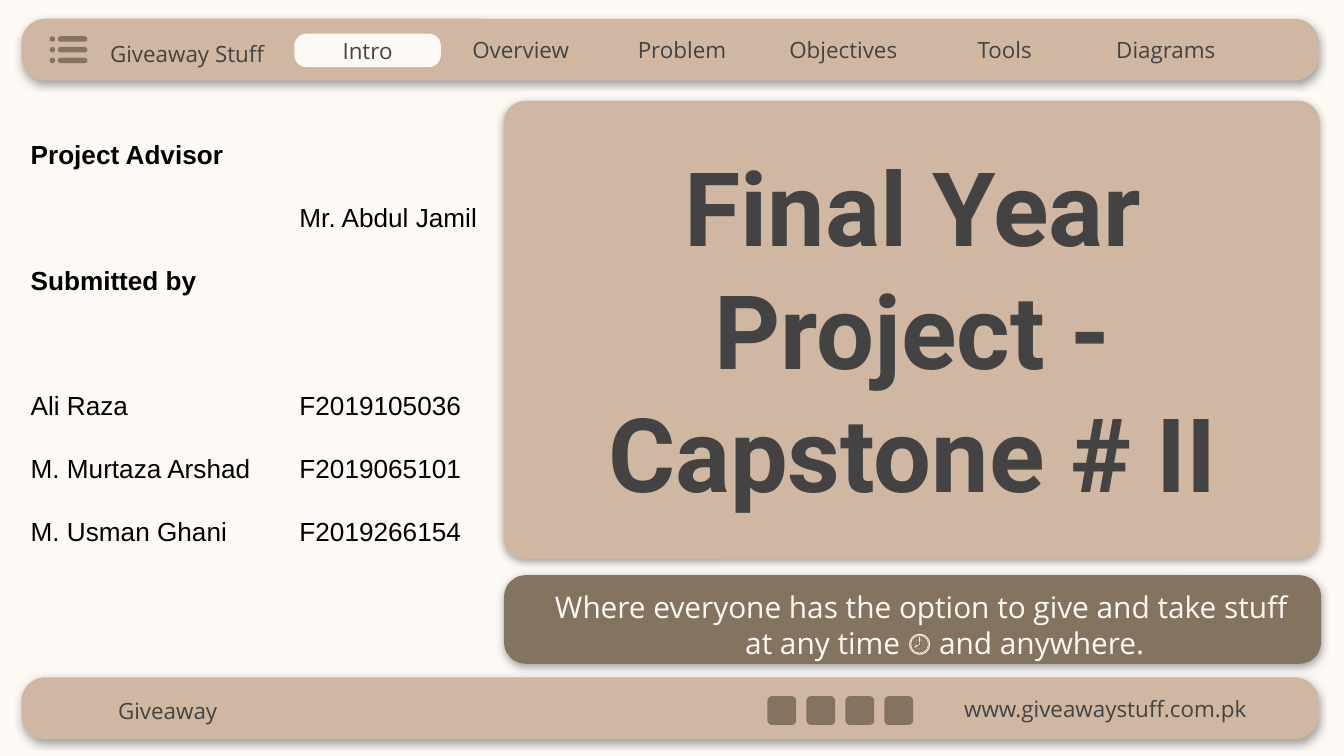
from typing import NamedTuple

from lxml.etree import SubElement
from pptx import Presentation
from pptx.dml.color import RGBColor
from pptx.enum.shapes import MSO_SHAPE as Shape
from pptx.enum.text import MSO_ANCHOR as Anchor, PP_ALIGN as Align
from pptx.oxml.ns import qn
from pptx.util import Inches, Pt

CREAM = RGBColor(0xFD, 0xFA, 0xF5)
SAND = RGBColor(0xCF, 0xB7, 0xA1)
BROWN = RGBColor(0x84, 0x73, 0x5E)
CHARCOAL = RGBColor(0x43, 0x43, 0x43)
BLACK = RGBColor(0, 0, 0)

COLUMNS, ROWS = 100, 56.25
CELL = Inches(0.1)


class Box(NamedTuple):
    x: float
    y: float
    w: float
    h: float

    def within(self, x, y, w, h):
        return Box(self.x + x, self.y + y, w, h)

    def emu(self):
        return [round(length * CELL) for length in self]


def cast_shadow(shape):
    effects = shape._element.spPr.find(qn("a:effectLst"))
    shadow = SubElement(effects, qn("a:outerShdw"), blurRad=str(Pt(4.5)),
                        dist=str(Pt(1.5)), dir="5400000", algn="bl",
                        rotWithShape="0")
    color = SubElement(shadow, qn("a:srgbClr"), val=str(CHARCOAL))
    SubElement(color, qn("a:alpha"), val="50000")


def draw(slide, box, fill=None, kind=Shape.ROUNDED_RECTANGLE, corner=None,
         raised=False):
    shape = slide.shapes.add_shape(kind, *box.emu())
    shape.shadow.inherit = False
    shape.line.fill.background()
    if fill is None:
        shape.fill.background()
    else:
        shape.fill.solid()
        shape.fill.fore_color.rgb = fill
    if corner is not None:
        shape.adjustments[0] = corner
    if raised:
        cast_shadow(shape)
    return shape


def prepare(shape, anchor=Anchor.MIDDLE, inset=1):
    frame = shape.text_frame
    frame.word_wrap = True
    frame.vertical_anchor = anchor
    frame.margin_top = frame.margin_bottom = round(inset * CELL)
    frame.margin_left = frame.margin_right = CELL
    return frame


def text_area(slide, box, **layout):
    return prepare(slide.shapes.add_textbox(*box.emu()), **layout)


def write(paragraph, text, size=12, font="Open Sans", color=CHARCOAL,
          bold=False, align=Align.LEFT):
    paragraph.alignment = align
    run = paragraph.add_run()
    run.text = text
    run.font.size = Pt(size)
    run.font.name = font
    run.font.color.rgb = color
    run.font.bold = bold


def menu_icon(slide, box):
    for row in range(3):
        y = 0.8 * row
        draw(slide, box.within(0.6, y, 2.2, 0.4), BROWN, corner=0.5)
        draw(slide, box.within(0, y, 0.4, 0.4), BROWN, Shape.OVAL)


def navigation(slide, box):
    draw(slide, box, SAND, corner=0.385, raised=True)
    menu_icon(slide, box.within(2.1, 1.3, 2.8, 2))
    brand = text_area(slide, box.within(5.6, 1, 14.1, 3.1))
    write(brand.paragraphs[0], "Giveaway Stuff")
    current = draw(slide, box.within(20.3, 1.1, 10.9, 2.5), CREAM,
                   corner=0.363)
    write(prepare(current).paragraphs[0], "Intro", align=Align.CENTER)
    sections = ["Overview", "Problem", "Objectives", "Tools", "Diagrams"]
    for index, section in enumerate(sections):
        tab = draw(slide, box.within(31.7 + 12 * index, 1, 10.9, 2.5),
                   corner=0.363)
        write(prepare(tab).paragraphs[0], section, align=Align.CENTER)


def title_panel(slide, box):
    draw(slide, box, SAND, corner=0.047, raised=True)
    title = text_area(slide, box.within(0.8, 1.1, 59.2, 30.6),
                      anchor=Anchor.BOTTOM)
    write(title.paragraphs[0], "Final Year Project - Capstone # II", size=55,
          font="Roboto", bold=True, align=Align.CENTER)


def tagline_panel(slide, box):
    draw(slide, box, BROWN, corner=0.245, raised=True)
    tagline = text_area(slide, box.within(0.7, 0, 59.2, box.h),
                        anchor=Anchor.TOP).paragraphs[0]
    indents = tagline._p.get_or_add_pPr()
    indents.set("marL", str(5 * CELL))
    indents.set("indent", str(round(-3.5 * CELL)))
    write(tagline, "Where everyone has the option to give and take stuff "
          "at any time ⌚ and anywhere.", size=16, color=CREAM,
          align=Align.CENTER)


def team(slide, box):
    frame = text_area(slide, box, anchor=Anchor.TOP, inset=0.5)
    lines = [
        ("Project Advisor", True, 0),
        ("\tMr. Abdul Jamil", False, 0),
        ("Submitted by", True, 0),
        ("Ali Raza\tF2019105036", False, 33.5),
        ("M. Murtaza Arshad\tF2019065101", False, 0),
        ("M. Usman Ghani\tF2019266154", False, 0),
    ]
    for index, (line, bold, gap) in enumerate(lines):
        paragraph = frame.add_paragraph() if index else frame.paragraphs[0]
        paragraph.line_spacing = 2.0
        paragraph.space_before = Pt(gap)
        stops = SubElement(paragraph._p.get_or_add_pPr(), qn("a:tabLst"))
        SubElement(stops, qn("a:tab"), pos=str(20 * CELL), algn="l")
        write(paragraph, line, size=14, font="Arial", color=BLACK, bold=bold)


def footer(slide, box):
    draw(slide, box, SAND, corner=0.385, raised=True)
    project = text_area(slide, box.within(6.2, 1.4, 18.5, 2.1))
    write(project.paragraphs[0], "Giveaway")
    for index in range(4):
        draw(slide, box.within(55.5 + 2.9 * index, 1.4, 2.15, 2.15), BROWN,
             corner=0.16)
    address = text_area(slide, box.within(68.9, 1.4, 23.5, 1.9))
    write(address.paragraphs[0], "www.giveawaystuff.com.pk",
          align=Align.CENTER)


def main():
    deck = Presentation()
    deck.slide_width = COLUMNS * CELL
    deck.slide_height = round(ROWS * CELL)
    slide = deck.slides.add_slide(deck.slide_layouts[6])
    slide.background.fill.solid()
    slide.background.fill.fore_color.rgb = CREAM
    navigation(slide, Box(1.6, 1.4, 96.5, 4.6))
    footer(slide, Box(1.6, 50.4, 96.5, 4.6))
    tagline_panel(slide, Box(37.5, 42.8, 60.8, 6.6))
    title_panel(slide, Box(37.5, 7.5, 60.7, 34.1))
    team(slide, Box(1.3, 7.5, 35.4, 34))
    deck.save("out.pptx")


if __name__ == "__main__":
    main()
